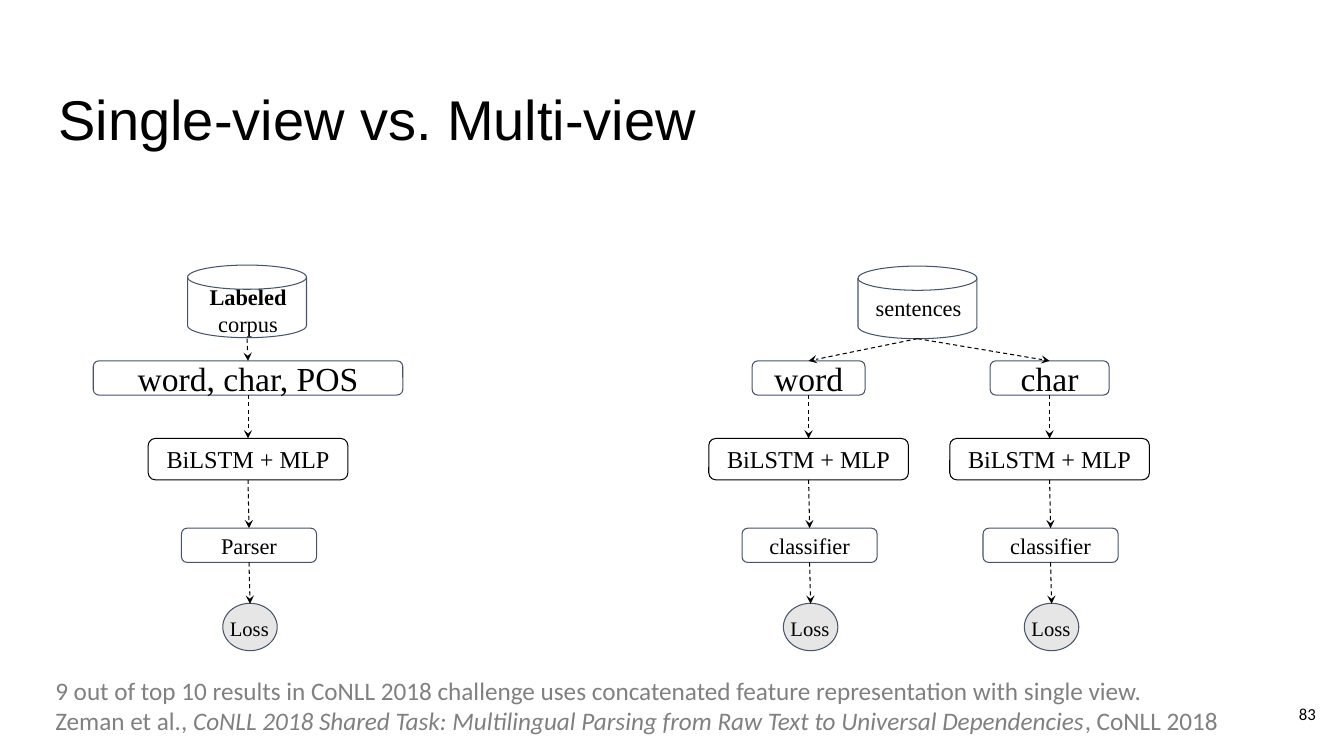
from dataclasses import dataclass

from lxml import etree
from pptx import Presentation
from pptx.dml.color import RGBColor
from pptx.enum import dml, shapes, text
from pptx.oxml import ns
from pptx.util import Inches, Pt

BLACK = RGBColor(0x00, 0x00, 0x00)
WHITE = RGBColor(0xFF, 0xFF, 0xFF)
SLATE = RGBColor(0x44, 0x54, 0x6A)
PALE = RGBColor(0xE7, 0xE6, 0xE6)
GRAY = RGBColor(0x80, 0x80, 0x80)
SERIF = "Times New Roman"
LINE_WIDTH = Pt(0.75)
SHAPE = shapes.MSO_SHAPE
ALIGN = text.PP_ALIGN
ANCHOR = text.MSO_ANCHOR


@dataclass(frozen=True)
class Run:
    text: str
    bold: bool = False
    italic: bool = False


@dataclass(frozen=True)
class Chain:
    """A column of model steps below a data source."""
    center: float
    feature: str
    feature_width: float
    output: str


@dataclass(frozen=True)
class Source:
    """A data cylinder that feeds one or more chains."""
    center: float
    top: float
    label: list[list[Run]]
    label_top: float
    chains: list[Chain]


SOURCES = [
    Source(2.45, 2.63, [[Run("Labeled", bold=True)], [Run("corpus")]], 2.68,
           [Chain(2.46, "word, char, POS", 3.07, "Parser")]),
    Source(9.1, 2.64, [[Run("sentences")]], 2.79,
           [Chain(8.02, "word", 1.12, "classifier"),
            Chain(10.41, "char", 1.18, "classifier")]),
]


def write(sp, lines: list[list[Run]], *, size: float, font: str = SERIF,
          color: RGBColor = BLACK, align=ALIGN.CENTER, anchor=ANCHOR.TOP,
          margins: tuple[float, float, float, float] = (0.13, 0.13, 0.13, 0.13)) -> None:
    """Fill a shape with paragraphs of runs; margins are left, top, right, bottom."""
    tf = sp.text_frame
    tf.word_wrap = True
    tf.vertical_anchor = anchor
    (tf.margin_left, tf.margin_top,
     tf.margin_right, tf.margin_bottom) = map(Inches, margins)
    for i, runs in enumerate(lines):
        p = tf.add_paragraph() if i else tf.paragraphs[0]
        p.alignment = align
        for run in runs:
            r = p.add_run()
            r.text = run.text
            r.font.name, r.font.size = font, Pt(size)
            r.font.color.rgb = color
            r.font.bold, r.font.italic = run.bold, run.italic


def add_text(s, left: float, top: float, width: float, height: float,
             lines: list[list[Run]], **style) -> None:
    sp = s.shapes.add_textbox(Inches(left), Inches(top), Inches(width), Inches(height))
    write(sp, lines, **style)


def add_figure(s, kind, center: float, top: float, width: float, height: float,
               fill: RGBColor = WHITE, line: RGBColor = SLATE):
    """Draw a preset shape centred on a vertical axis."""
    sp = s.shapes.add_shape(kind, Inches(center - width / 2), Inches(top),
                            Inches(width), Inches(height))
    sp.shadow.inherit = False
    sp.fill.solid()
    sp.fill.fore_color.rgb = fill
    sp.line.color.rgb = line
    sp.line.width = LINE_WIDTH
    return sp


def add_box(s, center: float, top: float, width: float, height: float, label: str,
            size: float, line: RGBColor = SLATE, pad: float = 0.13):
    sp = add_figure(s, SHAPE.ROUNDED_RECTANGLE, center, top, width, height, line=line)
    write(sp, [[Run(label)]], size=size, anchor=ANCHOR.MIDDLE,
          margins=(0.13, pad, 0.13, pad))
    return sp


def add_arrow(s, start: tuple[float, float], end: tuple[float, float],
              source=None, target=None) -> None:
    """Draw a dashed arrow, joined to the bottom of source and top of target."""
    c = s.shapes.add_connector(shapes.MSO_CONNECTOR.STRAIGHT,
                               *map(Inches, (*start, *end)))
    if source is not None:
        c.begin_connect(source, 2)
    if target is not None:
        c.end_connect(target, 0)
    c.line.color.rgb = BLACK
    c.line.width = LINE_WIDTH
    c.line.dash_style = dml.MSO_LINE.DASH
    etree.SubElement(c.line._get_or_add_ln(), ns.qn("a:tailEnd"), type="stealth")
    etree.SubElement(c._element.spPr, ns.qn("a:effectLst"))


def add_chain(s, chain: Chain, start: tuple[float, float]) -> None:
    x = chain.center
    feature = add_box(s, x, 3.58, chain.feature_width, 0.34, chain.feature, 24)
    encoder = add_box(s, x, 4.35, 1.98, 0.41, "BiLSTM + MLP", 17.3, BLACK, 0.07)
    output = add_box(s, x + 0.01, 5.24, 1.34, 0.34, chain.output, 16)
    loss = add_figure(s, SHAPE.OVAL, x + 0.02, 5.95, 0.47, 0.54, fill=PALE)
    loss.rotation = 270
    add_text(s, x - 0.31, 6.04, 0.67, 0.37, [[Run("Loss")]], size=14.7,
             align=ALIGN.LEFT, margins=(0.13, 0.07, 0.13, 0.07))

    add_arrow(s, start, (x, 3.58), target=feature)
    add_arrow(s, (x, 3.92), (x, 4.35), feature, encoder)
    add_arrow(s, (x, 4.76), (x + 0.01, 5.24), encoder, output)
    add_arrow(s, (x + 0.01, 5.58), (x + 0.02, 5.99), output)


def main() -> None:
    prs = Presentation()
    prs.slide_width, prs.slide_height = Inches(13.33), Inches(7.5)
    s = prs.slides.add_slide(prs.slide_layouts[6])

    # Title
    add_text(s, 0.45, 0.65, 12.42, 0.84, [[Run("Single-view vs. Multi-view")]],
             size=40, font="Arial", align=ALIGN.LEFT, margins=(0.13, 0.19, 0.13, 0))

    # Single-view and multi-view diagrams
    for source in SOURCES:
        add_figure(s, SHAPE.FLOWCHART_MAGNETIC_DISK, source.center, source.top, 1.18, 0.72)
        add_text(s, source.center - 0.66, source.label_top, 1.34, 0.62,
                 source.label, size=16)
        for chain in source.chains:
            add_chain(s, chain, (source.center, 3.36))

    # Slide number
    add_text(s, 12.35, 6.8, 0.8, 0.57, [[Run("83")]], size=12, font="Calibri",
             align=ALIGN.RIGHT, anchor=ANCHOR.MIDDLE, margins=(0.1, 0.1, 0.1, 0.1))

    # Reference
    add_text(s, 0.45, 6.65, 12.11, 0.71, [
        [Run("9 out of top 10 results in CoNLL 2018 challenge uses "
             "concatenated feature representation with single view.")],
        [Run("Zeman et al., "),
         Run("CoNLL 2018 Shared Task: Multilingual Parsing from Raw Text "
             "to Universal Dependencies", italic=True),
         Run(", CoNLL 2018")],
    ], size=18, font="Calibri", color=GRAY, align=ALIGN.LEFT,
        margins=(0.1, 0.05, 0.1, 0.05))

    prs.save("out.pptx")


if __name__ == "__main__":
    main()
